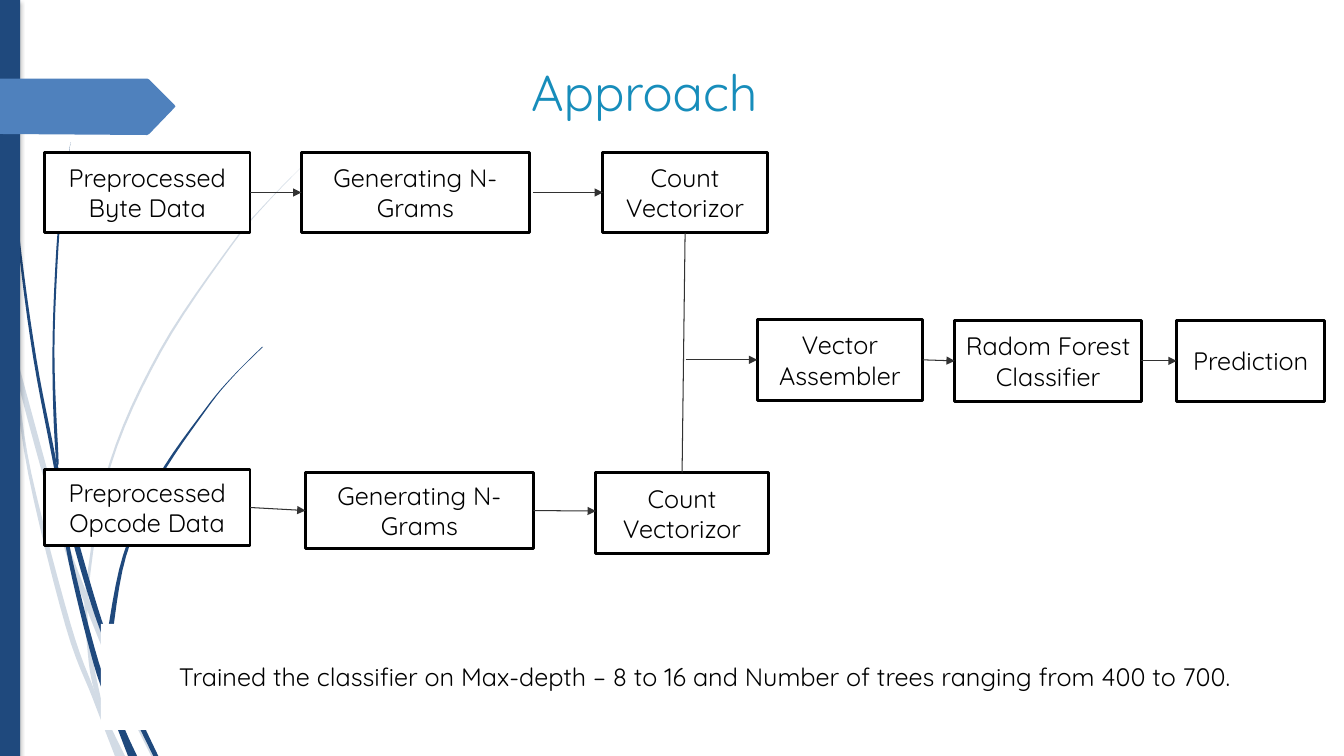
from dataclasses import dataclass
from itertools import chain
from lxml import etree
from pptx import Presentation
from pptx import util as u
from pptx.dml.color import RGBColor
from pptx.enum import shapes, text
from pptx.oxml import ns


@dataclass(frozen=True)
class Theme:
    font: str = "Quicksand"
    body: int = 18
    head: int = 36
    ink: str = "000000"
    paper: str = "FFFFFF"
    title: str = "178DBB"
    navy: str = "1F497D"
    pale: str = "D2DBE5"
    tag: str = "4F81BD"
    wire: str = "323232"
    edge: float = 2
    thin: float = 0.75


T = Theme()
UNIT = 0.1  # grid pitch in inches, for columns and rows
TOP, LEFT, BOTTOM, RIGHT = range(4)

# Strands as (colour, left edge, right edge), points in columns and rows
STRANDS = [
    (T.pale,
     [(0, 29.9), (1, 34.4), (2.8, 47), (6.5, 62.1), (9.2, 69.3), (11.4, 75)],
     [(0, 28.2), (0.8, 32.2), (1.7, 37.6), (3.1, 46.9), (7, 61.9), (9.3, 68.3),
      (10.5, 71.1), (12.4, 75)]),
    (T.pale,
     [(1.4, 34.5), (1.7, 37.6), (5.7, 52.2), (8.4, 59.9), (12.3, 69.4), (15, 75)],
     [(1.4, 34.5), (6.2, 52), (8.5, 58.6), (12.7, 69.1), (15.5, 75)]),
    (T.pale,
     [(31.2, 15.3), (26.8, 19.7), (22.8, 24.4), (15.8, 34.8), (10.8, 46.1),
      (8.5, 58.4), (8.7, 64.6), (9.3, 68.3), (10.5, 71.1)],
     [(31.2, 15.3), (26.8, 19.8), (22.9, 24.5), (16, 34.9), (11, 46.2),
      (8.8, 58.4), (9.1, 64.6), (10.3, 70.6)]),
    (T.navy,
     [(0.3, 0), (0.4, 4.8), (0.7, 11), (1.7, 23.3), (3.3, 35.5), (5.6, 47.7),
      (6.8, 55.7), (9.3, 65.9), (11.1, 70.8), (12.7, 75)],
     [(0.4, 0), (0.5, 4.8), (0.8, 10.9), (1.9, 23.2), (3.6, 35.5), (5.5, 45.3),
      (6.4, 50.5), (7.2, 55.6), (9.8, 65.7), (12.2, 71.9), (13.6, 75)]),
    (T.navy,
     [(7, 14.1), (6.2, 19.3), (5.6, 24.5), (5.2, 34.9), (5.5, 44.9), (6.4, 50.5),
      (8.8, 59.2), (11.1, 65.6), (13.2, 70.8), (15.2, 75)],
     [(7, 14.1), (6.3, 19.3), (5.8, 24.5), (5.4, 34.9), (5.8, 45.3), (6, 47.2),
      (9.3, 59), (11.3, 64.9), (13.6, 70.5), (15.7, 75)]),
    (T.navy,
     [(26, 34.4), (23.1, 37.3), (20.4, 40.5), (15.6, 47.4), (12.2, 55.1), (10.6, 63.1)],
     [(26.1, 34.4), (23.1, 37.4), (20.5, 40.6), (15.8, 47.6), (12.5, 55.2), (11.1, 63.3)]),
]

TAG = [(0, 7.8), (14.6, 7.8), (14.8, 7.9), (17.3, 10.4), (17.4, 10.55),
       (17.3, 10.7), (14.8, 13.3), (14.6, 13.4), (0, 13.3)]

# Flow boxes: name, column, row, width, height, wording
BOXES = [
    ("byte", 4.4, 15.1, 20.4, 8, "Preprocessed Byte Data"),
    ("code", 4.4, 46.6, 20.4, 7.5, "Preprocessed Opcode Data"),
    ("gram1", 29.9, 15.1, 22.6, 8, "Generating N-Grams"),
    ("gram2", 30.3, 46.9, 22.6, 7.5, "Generating N-Grams"),
    ("count1", 59.8, 15.1, 16.3, 8, "Count Vectorizor"),
    ("count2", 59.1, 46.9, 17.1, 8, "Count Vectorizor"),
    ("join", 75.1, 31.7, 16.4, 8, "Vector Assembler"),
    ("forest", 94.7, 31.8, 18.5, 8, "Radom Forest\nClassifier"),
    ("guess", 116.7, 31.8, 14.7, 8, "Prediction"),
]

# Arrows: an end is a box name or a free point
ARROWS = [("byte", "gram1"), ("code", "gram2"), ((52.9, 19.1), "count1"),
          ("gram2", (59.1, 50.7)), ((68, 35.7), "join"),
          ("join", "forest"), ("forest", "guess")]


def g(*cells):
    """Turn grid cells into lengths."""
    return [u.Inches(c * UNIT) for c in cells]


def rgb(code):
    return RGBColor.from_string(code)


def paint(shape, fill, line=None):
    shape.shadow.inherit = False
    shape.fill.solid()
    shape.fill.fore_color.rgb = rgb(fill)
    if line:
        shape.line.color.rgb = rgb(line)
        shape.line.width = u.Pt(T.edge)
    else:
        shape.line.fill.background()


def write(shape, words, size=T.body, color=T.ink, wrap=True,
          align=text.PP_ALIGN.CENTER, anchor=text.MSO_ANCHOR.MIDDLE):
    frame = shape.text_frame
    frame.word_wrap = wrap
    frame.vertical_anchor = anchor
    frame.text = words
    for para in frame.paragraphs:
        para.alignment = align
        font = para.runs[0].font
        font.name, font.size, font.color.rgb = T.font, u.Pt(size), rgb(color)


def block(slide, cells, fill, line=None):
    shape = slide.shapes.add_shape(shapes.MSO_SHAPE.RECTANGLE, *g(*cells))
    paint(shape, fill, line)
    return shape


def outline(slide, points, fill):
    first, *rest = [g(*p) for p in points]
    pen = slide.shapes.build_freeform(*first)
    pen.add_line_segments(rest, close=True)
    paint(pen.convert_to_shape(), fill)


def curve(points, steps=6):
    """Smooth a row of points with a Catmull-Rom spline."""
    pts = [points[0], *points, points[-1]]
    out = [points[0]]
    for a, b, c, d in zip(pts, pts[1:], pts[2:], pts[3:]):
        for k in range(1, steps + 1):
            t = k / steps
            out.append(tuple(
                (2 * q + (r - p) * t + (2 * p - 5 * q + 4 * r - s) * t ** 2
                 + (3 * q - p - 3 * r + s) * t ** 3) / 2
                for p, q, r, s in zip(a, b, c, d)))
    return out


def shade(shape):
    """Give a shape a soft shadow below it."""
    effects = shape._element.spPr.find(ns.qn("a:effectLst"))
    glow = etree.SubElement(effects, ns.qn("a:outerShdw"), blurRad=str(u.Pt(3)),
                            dist=str(u.Pt(2)), dir=str(90 * 60000))
    tint = etree.SubElement(glow, ns.qn("a:srgbClr"), val=T.ink)
    etree.SubElement(tint, ns.qn("a:alpha"), val="25000")


def link(slide, boxes, start, end, sides=(RIGHT, LEFT), head=True):
    ends = [(0, 0) if e in boxes else g(*e) for e in (start, end)]
    wire = slide.shapes.add_connector(shapes.MSO_CONNECTOR.STRAIGHT, *chain(*ends))
    wire.line.color.rgb = rgb(T.wire)
    wire.line.width = u.Pt(T.thin)
    if start in boxes:
        wire.begin_connect(boxes[start], sides[0])
    if end in boxes:
        wire.end_connect(boxes[end], sides[1])
    if head:
        etree.SubElement(wire.line._get_or_add_ln(), ns.qn("a:tailEnd"), type="triangle")
    etree.SubElement(wire._element.spPr, ns.qn("a:effectLst"))


def main():
    deck = Presentation()
    deck.slide_width, deck.slide_height = u.Inches(13.33), u.Inches(7.5)
    slide = deck.slides.add_slide(deck.slide_layouts[6])

    # Side decoration
    for color, left, right in STRANDS:
        outline(slide, curve(left) + curve(right)[::-1], color)
    shade(block(slide, (0, 0, 2, 75), T.navy))
    outline(slide, TAG, T.tag)

    # Flow boxes
    boxes = {}
    for name, *cells, words in BOXES:
        boxes[name] = block(slide, cells, T.paper, T.ink)
        write(boxes[name], words)

    # Arrows and the line joining both branches
    link(slide, boxes, "count1", "count2", (BOTTOM, TOP), head=False)
    for start, end in ARROWS:
        link(slide, boxes, start, end)

    # Caption and title
    note = block(slide, (10, 61.9, 119.8, 10.5), T.paper)
    write(note, "Trained the classifier on Max-depth – 8 to 16 "
                "and Number of trees ranging from 400 to 700.")
    title = slide.shapes.add_textbox(*g(51.7, 5.6, 25.7, 7))
    write(title, "Approach", size=T.head, color=T.title, wrap=False,
          align=text.PP_ALIGN.LEFT, anchor=text.MSO_ANCHOR.TOP)

    deck.save("out.pptx")


if __name__ == "__main__":
    main()
